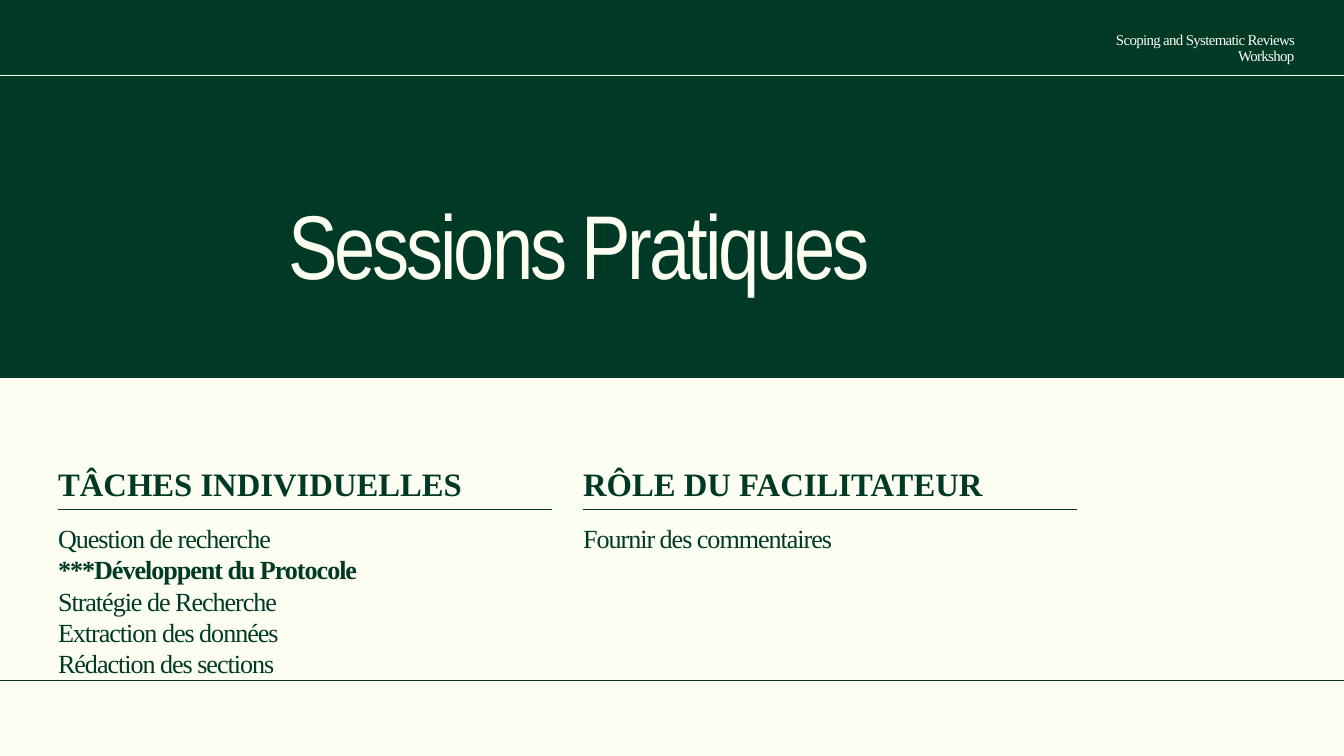
from lxml.etree import SubElement
from pptx import Presentation
from pptx.dml.color import RGBColor
from pptx.enum.shapes import MSO_CONNECTOR, MSO_SHAPE
from pptx.enum.text import MSO_ANCHOR, MSO_AUTO_SIZE, PP_ALIGN
from pptx.oxml.ns import qn
from pptx.util import Pt

PX = 9525  # EMU per px
WIDTH, HEIGHT = 1920, 1080
BAND_HEIGHT = HEIGHT // 2
GREEN = RGBColor(0x01, 0x39, 0x27)
CREAM = RGBColor(0xFC, 0xFE, 0xF1)
SERIF = "Times New Roman"
DISPLAY = "Arial Narrow"

HEADING_TOP, RULE_TOP, BODY_TOP = 663, 727, 746
RULE_WIDTH = 706
# left, text width, heading, lines of (text, bold)
COLUMNS = [
    (833, 722, "RÔLE DU FACILITATEUR", [("Fournir des commentaires", False)]),
    (83, 706, "TÂCHES INDIVIDUELLES", [
        ("Question de recherche", False),
        ("***Développent du Protocole", True),
        ("Stratégie de Recherche", False),
        ("Extraction des données", False),
        ("Rédaction des sections", False),
    ]),
]


class Deck:
    def __init__(self):
        self.prs = Presentation()
        self.prs.slide_width = WIDTH * PX
        self.prs.slide_height = HEIGHT * PX
        self.slide = self.prs.slides.add_slide(self.prs.slide_layouts[5])
        fill = self.slide.background.fill
        fill.solid()
        fill.fore_color.rgb = CREAM

    def band(self, x, y, w, h, color):
        sp = self.slide.shapes.add_shape(MSO_SHAPE.RECTANGLE, x * PX, y * PX, w * PX, h * PX)
        sp.shadow.inherit = False
        sp.fill.solid()
        sp.fill.fore_color.rgb = color
        sp.line.fill.background()

    def rule(self, x, y, w, color):
        line = self.slide.shapes.add_connector(
            MSO_CONNECTOR.STRAIGHT, x * PX, y * PX, (x + w) * PX, y * PX)
        line.line.color.rgb = color
        line.line.width = Pt(0.75)
        SubElement(line._element.spPr, qn("a:effectLst"))

    def title(self, x, y, w, h, text, **style):
        sp = self.slide.shapes.title
        sp.left, sp.top, sp.width, sp.height = x * PX, y * PX, w * PX, h * PX
        sp._element.getparent().append(sp._element)  # in front of the band
        self.fill_frame(sp.text_frame, [(text, False)], **style)

    def text(self, x, y, w, h, lines, **style):
        sp = self.slide.shapes.add_textbox(x * PX, y * PX, w * PX, h * PX)
        self.fill_frame(sp.text_frame, lines, **style)

    def fill_frame(self, tf, lines, size, leading, color, font=SERIF, spacing=0,
                   align=PP_ALIGN.LEFT):
        """Fill a frame with (text, bold) lines; leading and spacing are in points."""
        tf.margin_left = tf.margin_top = tf.margin_right = tf.margin_bottom = 0
        tf.word_wrap = True
        tf.auto_size = MSO_AUTO_SIZE.SHAPE_TO_FIT_TEXT
        tf.vertical_anchor = MSO_ANCHOR.TOP
        for i, (text, bold) in enumerate(lines):
            p = tf.add_paragraph() if i else tf.paragraphs[0]
            p.alignment = align
            p.line_spacing = Pt(leading)
            r = p.add_run()
            r.text = text
            r.font.name = font
            r.font.size = Pt(size)
            r.font.bold = bold
            r.font.color.rgb = color
            if spacing:
                r._r.get_or_add_rPr().set("spc", str(round(spacing * 100)))


def main():
    deck = Deck()
    deck.rule(0, 972, WIDTH, GREEN)
    deck.band(0, 0, WIDTH, BAND_HEIGHT, GREEN)
    deck.rule(0, 108, WIDTH, CREAM)
    deck.title(412, 283, 1000, 145, "Sessions Pratiques", size=97, leading=106.7,
               color=CREAM, font=DISPLAY, spacing=-3.4)
    deck.text(1518, 47, 331, 23, [("Scoping and Systematic Reviews Workshop", False)],
              size=16, leading=16.9, color=CREAM, spacing=-0.7, align=PP_ALIGN.RIGHT)
    for x, w, heading, lines in COLUMNS:
        deck.text(x, HEADING_TOP, w, 57, [(heading, True)], size=35, leading=42, color=GREEN)
        deck.text(x, BODY_TOP, w, 45 * len(lines), lines, size=28, leading=33.6,
                  color=GREEN, spacing=-1.1)
        deck.rule(x, RULE_TOP, RULE_WIDTH, GREEN)
    deck.prs.save("out.pptx")


if __name__ == "__main__":
    main()
